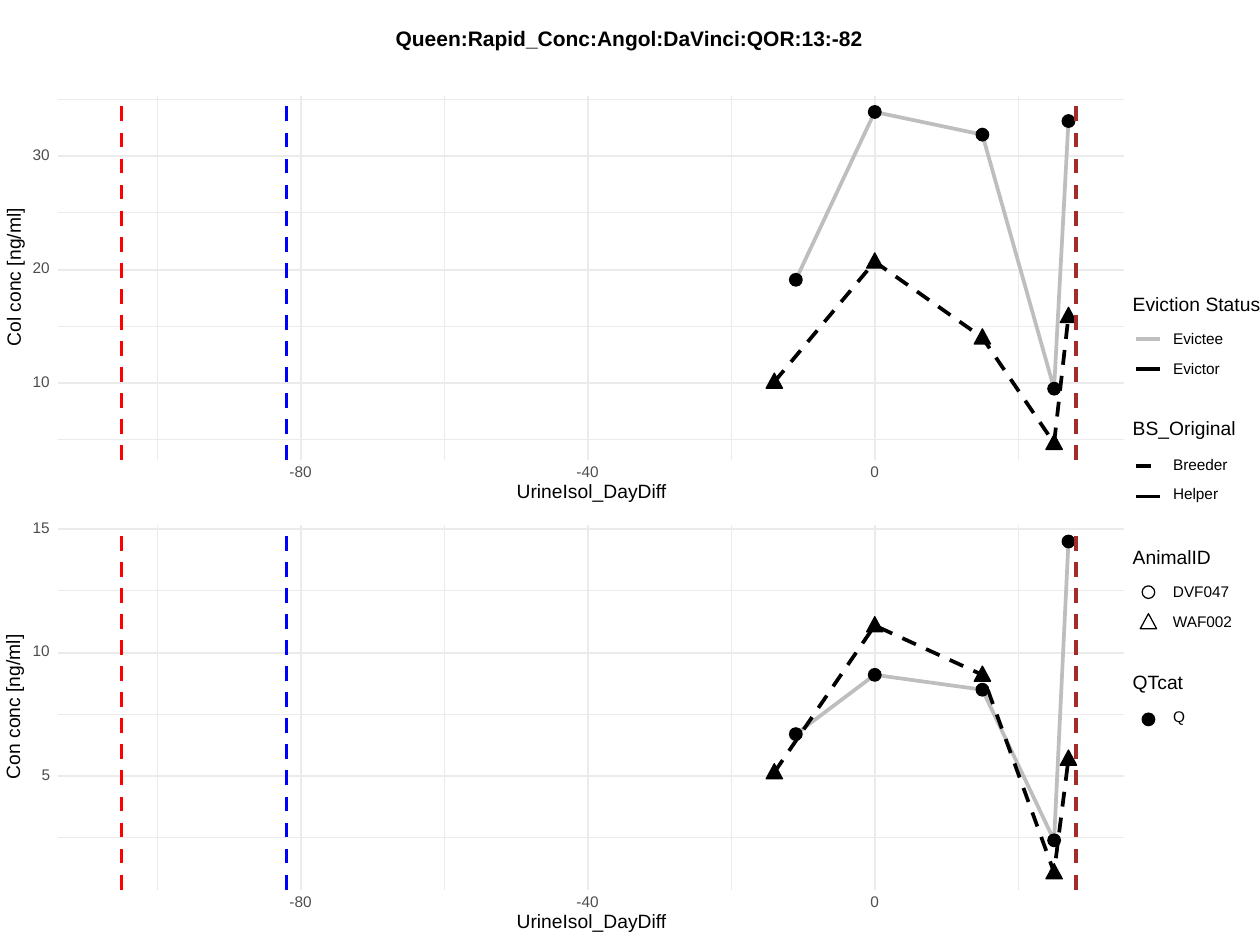
"""Build a slide with two hormone concentration plots over time and a shared legend."""
from lxml import etree
from pptx import Presentation
from pptx import util as u
from pptx.dml.color import RGBColor
from pptx.enum import dml, shapes, text
from pptx.oxml.ns import qn

COLORS = {
    "white": "FFFFFF", "black": "000000", "grid": "EBEBEB", "tick": "4D4D4D",
    "evictee": "BEBEBE", "red": "FF0000", "blue": "0000FF", "brown": "A52A2A",
}
CIRCLE, TRIANGLE = shapes.MSO_SHAPE.OVAL, shapes.MSO_SHAPE.ISOSCELES_TRIANGLE
LEFT, RIGHT, HEIGHT = 0.46, 8.92, 2.89
ZERO_X, DAY_WIDTH = 6.943, 0.05694
EVENTS = {-105: "red", -82: "blue", 28: "brown"}
EVICTEE_DAYS = [-11, 0, 15, 25, 27]
EVICTOR_DAYS = [-14, 0, 15, 25, 27]
THICK = 2.13
SLACK = 0.02

PANELS = [
    {"top": 0.76, "zero": 3.94, "unit": 0.09, "major": [10, 20, 30],
     "minor": [5, 15, 25, 35], "title": "Col conc [ng/ml]",
     "title_box": (-0.44, 2.12, 1.1, 0.14),
     "evictee": [19.1, 33.9, 31.9, 9.5, 33.1],
     "evictor": [10.1, 20.7, 14, 4.7, 15.9]},
    {"top": 4.17, "zero": 7.14, "unit": 0.196, "major": [5, 10, 15],
     "minor": [2.5, 7.5, 12.5], "title": "Con conc [ng/ml]",
     "title_box": (-0.47, 5.53, 1.15, 0.14),
     "evictee": [6.7, 9.1, 8.5, 2.4, 14.5],
     "evictor": [5.15, 11.1, 9.1, 1.1, 5.7]},
]
LEGEND_TITLES = [
    ("Eviction Status", 2.37, 1.01, 0.11), ("BS_Original", 3.34, 0.82, 0.14),
    ("AnimalID", 4.38, 0.62, 0.11), ("QTcat", 5.37, 0.42, 0.12),
]
LEGEND_LABELS = [
    ("Evictee", 2.65, 0.4, 0.09), ("Evictor", 2.89, 0.37, 0.09),
    ("Breeder", 3.65, 0.43, 0.09), ("Helper", 3.87, 0.36, 0.11),
    ("DVF047", 4.66, 0.45, 0.09), ("WAF002", 4.9, 0.48, 0.09),
    ("Q", 5.65, 0.1, 0.1),
]
LEGEND_LINES = [
    (2.69, "evictee", False), (2.93, "black", False),
    (3.7, "black", True), (3.94, "black", False),
]
LEGEND_MARKERS = [(CIRCLE, 4.7, False), (TRIANGLE, 4.94, False), (CIRCLE, 5.71, True)]


def rgb(name):
    return RGBColor.from_string(COLORS[name])


def day_x(day):
    return ZERO_X + day * DAY_WIDTH


def value_y(panel, value):
    return panel["zero"] - value * panel["unit"]


def style_line(line, color, width, dashed=False):
    line.color.rgb = rgb(color)
    line.width = u.Pt(width)
    if dashed:
        line.dash_style = dml.MSO_LINE.DASH


def add_text(slide, content, place, size, color="black", bold=False, rotation=0):
    left, top, width, height = place
    box = slide.shapes.add_textbox(*map(u.Inches, (left, top, width + SLACK, height)))
    box.rotation = rotation
    frame = box.text_frame
    frame.margin_left = frame.margin_right = frame.margin_top = frame.margin_bottom = 0
    frame.word_wrap = False
    frame.vertical_anchor = text.MSO_ANCHOR.MIDDLE
    para = frame.paragraphs[0]
    para.text = content
    para.line_spacing = u.Pt(size)
    para.font.name = "Arial"
    para.font.size = u.Pt(size)
    para.font.bold = bold
    para.font.color.rgb = rgb(color)


def add_line(slide, start, end, color, width, dashed=False):
    line = slide.shapes.add_connector(
        shapes.MSO_CONNECTOR.STRAIGHT, *map(u.Inches, (*start, *end)))
    style_line(line.line, color, width, dashed)
    etree.SubElement(line._element.spPr, qn("a:effectLst"))


def add_series(slide, points, color, dashed):
    corners = [(u.Inches(x), u.Inches(y)) for x, y in points]
    builder = slide.shapes.build_freeform(*corners[0])
    builder.add_line_segments(corners[1:], close=False)
    series = builder.convert_to_shape()
    series.shadow.inherit = False
    series.fill.background()
    style_line(series.line, color, THICK, dashed)


def add_marker(slide, kind, x, y, filled=True):
    width, height, rise = (0.1, 0.1, 0.05) if kind == CIRCLE else (0.13, 0.12, 0.07)
    marker = slide.shapes.add_shape(
        kind, *map(u.Inches, (x - width / 2, y - rise, width, height)))
    marker.shadow.inherit = False
    if filled:
        marker.fill.solid()
        marker.fill.fore_color.rgb = rgb("black")
    else:
        marker.fill.background()
    style_line(marker.line, "black", 0.71)


def add_background(slide, deck):
    panel = slide.shapes.add_shape(
        shapes.MSO_SHAPE.RECTANGLE, 0, 0, deck.slide_width, deck.slide_height)
    panel.shadow.inherit = False
    panel.fill.solid()
    panel.fill.fore_color.rgb = rgb("white")
    style_line(panel.line, "white", 0.75)


def add_day_line(slide, panel, day, color, width, dashed=False):
    x, top = day_x(day), panel["top"]
    add_line(slide, (x, top + HEIGHT), (x, top), color, width, dashed)


def add_grid(slide, panel):
    minor, major = (-100, -60, -20, 20), (-80, -40, 0)
    for values, days, width in ((panel["minor"], minor, 0.53), (panel["major"], major, 1.07)):
        for value in values:
            y = value_y(panel, value)
            add_line(slide, (LEFT, y), (RIGHT, y), "grid", width)
        for day in days:
            add_day_line(slide, panel, day, "grid", width)


def add_axis_text(slide, panel):
    for value in panel["major"]:
        width = 0.07 * len(str(value))
        place = (0.4 - width, value_y(panel, value) - 0.05, width, 0.09)
        add_text(slide, str(value), place, 8.8, "tick")
    bottom = panel["top"] + HEIGHT
    for day in (-80, -40, 0):
        width = 0.18 if day else 0.07
        place = (day_x(day) - width / 2, bottom + 0.06, width, 0.09)
        add_text(slide, str(day), place, 8.8, "tick")
    add_text(slide, "UrineIsol_DayDiff", (4.1, bottom + 0.19, 1.19, 0.14), 11)
    add_text(slide, panel["title"], panel["title_box"], 11, rotation=270)


def add_panel(slide, panel):
    add_grid(slide, panel)
    evictee, evictor = (
        [(day_x(day), value_y(panel, value)) for day, value in zip(days, panel[name])]
        for name, days in (("evictee", EVICTEE_DAYS), ("evictor", EVICTOR_DAYS)))
    add_series(slide, evictee, "evictee", False)
    add_series(slide, evictor, "black", True)
    for kind, points in ((TRIANGLE, evictor), (CIRCLE, evictee)):
        for x, y in points:
            add_marker(slide, kind, x, y)
    for day, color in EVENTS.items():
        add_day_line(slide, panel, day, color, THICK, True)
    add_axis_text(slide, panel)


def add_legend(slide):
    for rows, left, size in ((LEGEND_TITLES, 8.99, 11), (LEGEND_LABELS, 9.31, 8.8)):
        for content, top, width, height in rows:
            add_text(slide, content, (left, top, width, height), size)
    for y, color, dashed in LEGEND_LINES:
        add_line(slide, (9.02, y), (9.21, y), color, THICK, dashed)
    for kind, y, filled in LEGEND_MARKERS:
        add_marker(slide, kind, 9.115, y, filled)


def main():
    deck = Presentation()
    deck.slide_width, deck.slide_height = u.Inches(10), u.Inches(7.5)
    slide = deck.slides.add_slide(deck.slide_layouts[6])
    add_background(slide, deck)
    add_text(slide, "Queen:Rapid_Conc:Angol:DaVinci:QOR:13:-82",
             (3.14, 0.24, 3.71, 0.16), 12, bold=True)
    for panel in PANELS:
        add_panel(slide, panel)
    add_legend(slide)
    deck.save("out.pptx")


if __name__ == "__main__":
    main()
